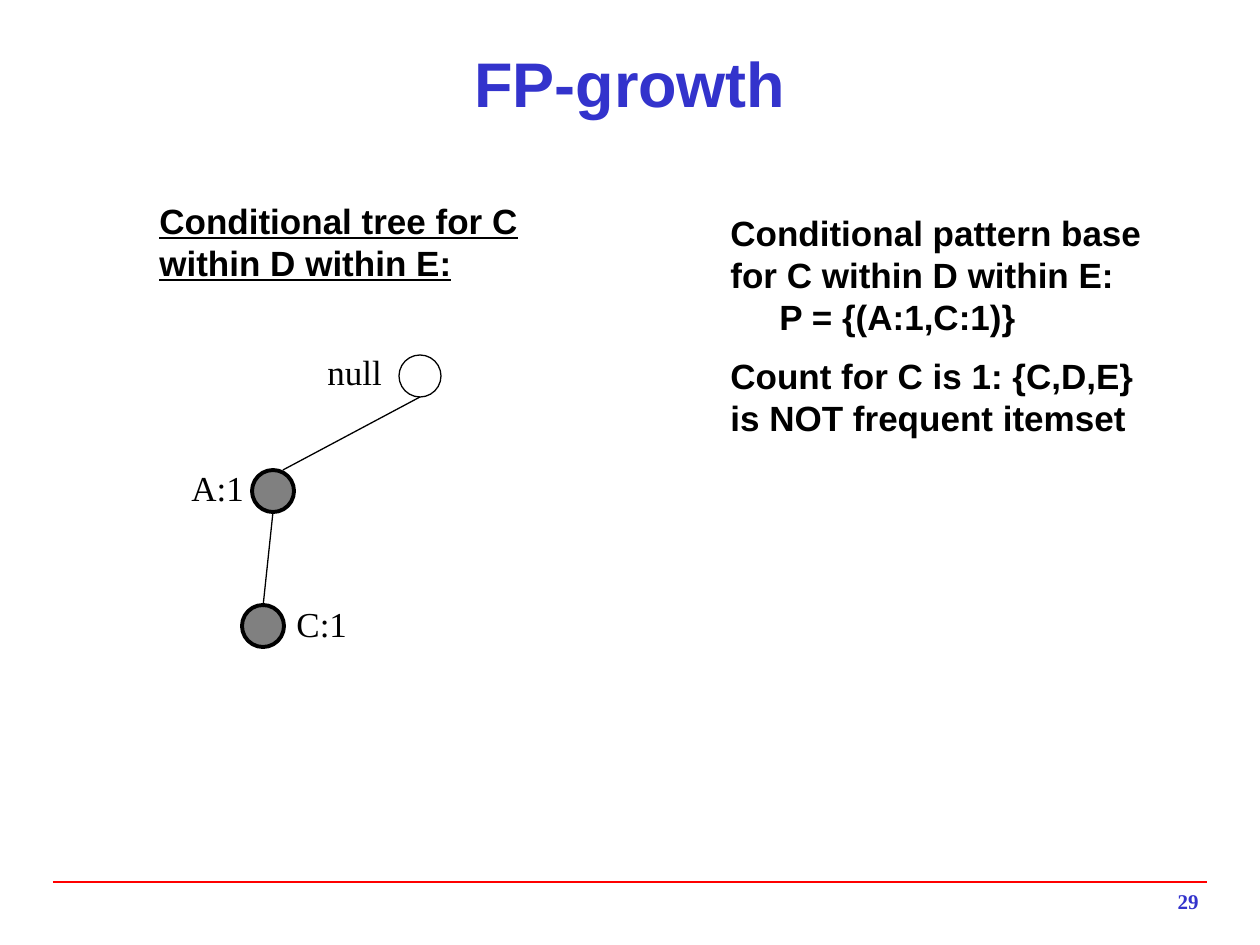
"""Build the FP-growth slide with the conditional tree for C within D within E."""
from dataclasses import dataclass

from lxml.etree import SubElement
from pptx import Presentation
from pptx.dml.color import RGBColor
from pptx.enum.shapes import MSO_CONNECTOR, MSO_SHAPE
from pptx.enum.text import MSO_ANCHOR, PP_ALIGN
from pptx.oxml.ns import qn
from pptx.util import Emu, Pt

EMU_PER_PIXEL = 914400 / 126
NODE_SIZE = 42


@dataclass(frozen=True)
class Theme:
    heading_font: str = "Arial"
    label_font: str = "Times New Roman"
    accent: str = "3333CC"
    ink: str = "000000"
    rule: str = "FF0000"
    node: str = "808080"
    title_size: int = 36
    body_size: int = 20
    number_size: int = 12


THEME = Theme()


def px(pixels):
    return Emu(round(pixels * EMU_PER_PIXEL))


def color(value):
    return RGBColor.from_string(value)


def add_text(slide, text, left, top, width, height, *, font=THEME.heading_font,
             size=THEME.body_size, ink=THEME.ink, bold=False, underline=False,
             align=PP_ALIGN.LEFT, anchor=MSO_ANCHOR.TOP, gaps=(), indents=()):
    frame = slide.shapes.add_textbox(px(left), px(top), px(width), px(height)).text_frame
    frame.word_wrap = True
    frame.vertical_anchor = anchor
    frame.text = text
    for paragraph in frame.paragraphs:
        paragraph.alignment = align
        for run in paragraph.runs:
            run.font.name = font
            run.font.size = Pt(size)
            run.font.bold = bold
            run.font.underline = underline
            run.font.color.rgb = color(ink)
    for paragraph, gap in zip(frame.paragraphs, gaps):
        paragraph.space_before = Pt(gap)
    for paragraph, indent in zip(frame.paragraphs, indents):
        paragraph._p.get_or_add_pPr().set("marL", str(px(indent)))


def add_line(slide, start, end, ink=THEME.ink, weight=0.75):
    line = slide.shapes.add_connector(MSO_CONNECTOR.STRAIGHT, *map(px, start + end))
    line.line.color.rgb = color(ink)
    line.line.width = Pt(weight)
    SubElement(line._element.spPr, qn("a:effectLst"))


def add_node(slide, left, top, label, label_left, label_top, filled=True):
    node = slide.shapes.add_shape(
        MSO_SHAPE.OVAL, px(left), px(top), px(NODE_SIZE), px(NODE_SIZE))
    node.shadow.inherit = False
    if filled:
        node.fill.solid()
        node.fill.fore_color.rgb = color(THEME.node)
    else:
        node.fill.background()
    node.line.color.rgb = color(THEME.ink)
    node.line.width = Pt(2.25 if filled else 0.75)
    add_text(slide, label, label_left, label_top, 84, 54, font=THEME.label_font)


def add_tree(slide):
    add_node(slide, 399, 355, "null", 315, 344, filled=False)
    add_node(slide, 252, 470, "A:1", 179, 460)
    add_line(slide, (420, 397), (283, 470))
    add_node(slide, 242, 605, "C:1", 284, 596)
    add_line(slide, (263, 607), (273, 512))


def main():
    deck = Presentation()
    deck.slide_width, deck.slide_height = px(1260), px(945)
    slide = deck.slides.add_slide(deck.slide_layouts[6])

    add_line(slide, (53, 882), (1207, 882), THEME.rule, 1)
    add_text(slide, "FP-growth", 63, 38, 1134, 88, size=THEME.title_size,
             ink=THEME.accent, bold=True, align=PP_ALIGN.CENTER, anchor=MSO_ANCHOR.MIDDLE)
    add_text(slide, "Conditional pattern base for C within D within E:\n"
             "P = {(A:1,C:1)}\n"
             "Count for C is 1: {C,D,E} is NOT frequent itemset",
             718, 205, 462, 306, bold=True, gaps=(0, 0, 10), indents=(0, 49, 0))
    add_text(slide, "Conditional tree for C within D within E:", 147, 193, 420, 97,
             bold=True, underline=True)
    add_tree(slide)
    add_text(slide, "29", 949, 882, 262, 39, font=THEME.label_font,
             size=THEME.number_size, ink=THEME.accent, bold=True, align=PP_ALIGN.RIGHT)
    deck.save("out.pptx")


main()
